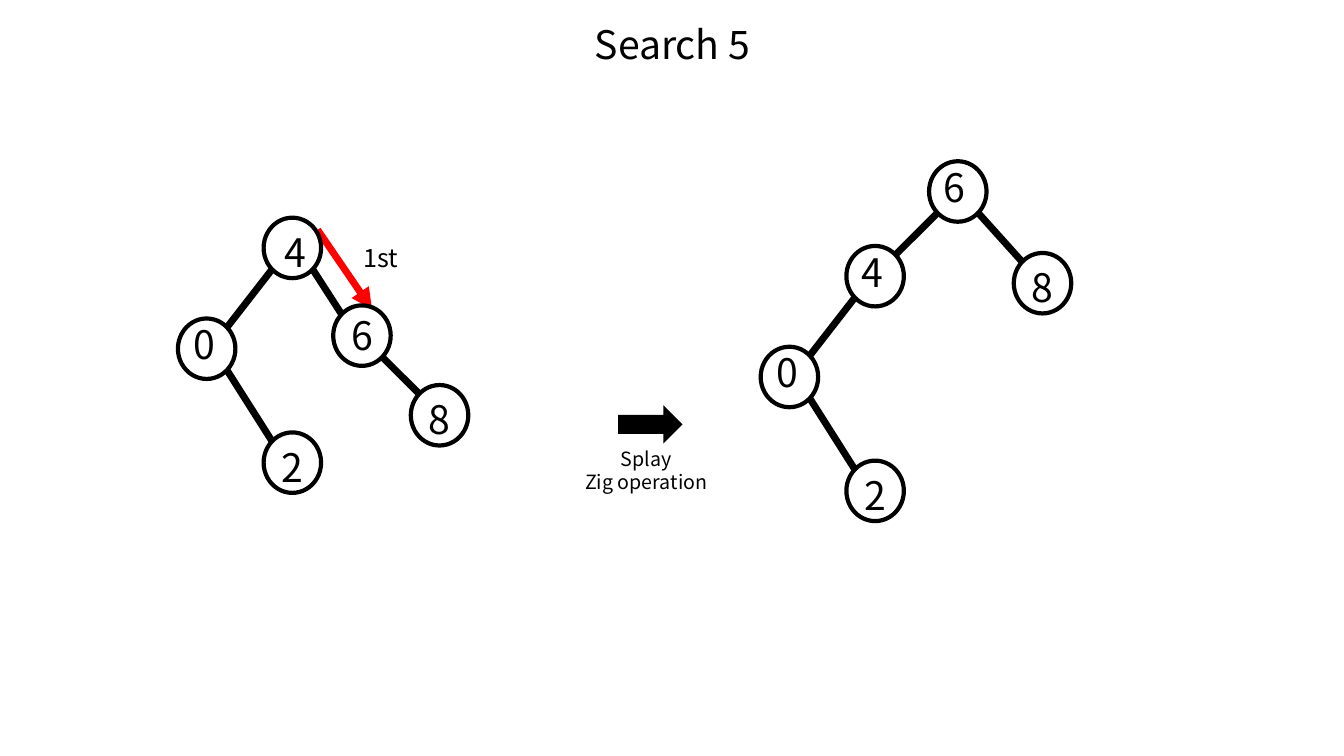
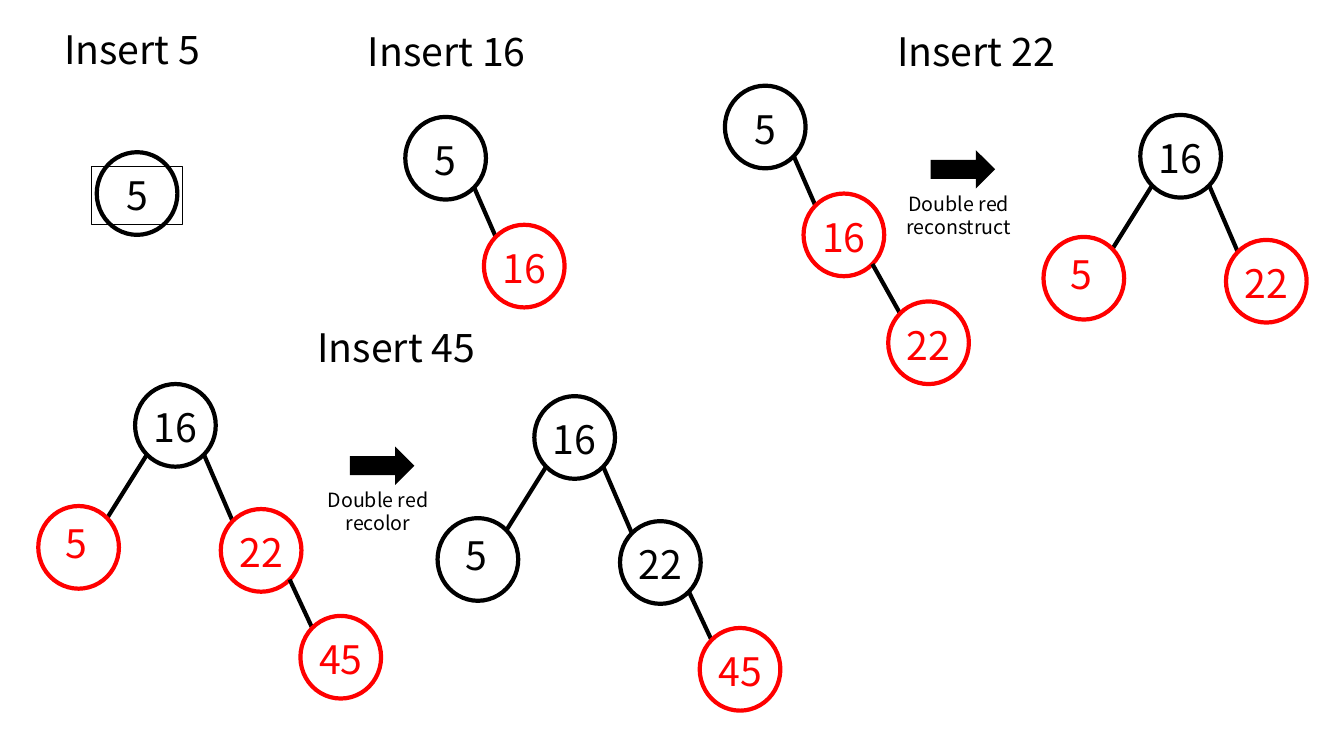
"""Builds two slides of search tree steps: a splay search and red-black insertions."""
import dataclasses
import math

import lxml.etree
import pptx
import pptx.dml.color
import pptx.enum.shapes
import pptx.enum.text
import pptx.oxml.ns
import pptx.util

Inches = pptx.util.Inches
Shapes = pptx.enum.shapes.MSO_SHAPE


@dataclasses.dataclass(frozen=True)
class Theme:
    font: str = "Noto Sans CJK KR"
    black: str = "000000"
    red: str = "FF0000"
    heading: int = 28
    order: int = 18
    caption: int = 14
    outline: float = 3
    frame: float = 0.75
    line_height: float = 0.57


THEME = Theme()
BLACK, RED = THEME.black, THEME.red

SPLAY = {"node": (0.57, 0.6), "label_width": 0.64, "edge": 5}
RED_BLACK = {"node": (0.8, 0.82), "label_width": 0.9, "edge": 3}

LOW, HIGH, LEFT_HIGH = (0, 0.04), (-0.02, -0.05), (-0.03, -0.04)
MIDDLE, LEFT_CHILD = (0, 0.02), (-0.02, -0.04)

BEFORE_ZIG = [
    ("4", None, (0, 0), BLACK, (0.03, 0.04)),
    ("0", "4", (-0.85, 1), BLACK, HIGH),
    ("6", "4", (0.69, 0.87), BLACK, (0, -0.01)),
    ("8", "6", (1.46, 1.66), BLACK, LOW),
    ("2", "0", (0, 2.13), BLACK, LOW),
]
AFTER_ZIG = [
    ("6", None, (0, 0), BLACK, LEFT_HIGH),
    ("4", "6", (-0.82, 0.84), BLACK, LEFT_HIGH),
    ("0", "4", (-1.67, 1.84), BLACK, HIGH),
    ("8", "6", (0.84, 0.91), BLACK, LOW),
    ("2", "0", (-0.82, 2.97), BLACK, LOW),
]
CHAIN = [
    ("5", None, (0, 0), BLACK, MIDDLE),
    ("16", "5", (0.78, 1.07), RED, MIDDLE),
    ("22", "16", (1.62, 2.14), RED, MIDDLE),
]


def balanced(children_colour):
    """Return the three-node tree whose two children share a colour."""
    return [
        ("16", None, (0, 0), BLACK, MIDDLE),
        ("5", "16", (-0.96, 1.21), children_colour, LEFT_CHILD),
        ("22", "16", (0.85, 1.24), children_colour, MIDDLE),
    ]


LEAF_45 = ("45", "22", (1.64, 2.3), RED, MIDDLE)

SLIDES = [
    {
        "headings": [("Search 5", 6.67, 0.15)],
        "style": SPLAY,
        "trees": [((2.9, 2.46), BEFORE_ZIG), ((9.5, 1.9), AFTER_ZIG)],
        "steps": [((6.13, 4.02), ("Splay", "Zig operation"))],
        "visits": [("1st", (3.78, 2.35), (3.15, 2.28), (3.69, 3.07))],
    },
    {
        "headings": [("Insert 5", 1.31, 0.2), ("Insert 16", 4.43, 0.22),
                     ("Insert 22", 9.68, 0.22), ("Insert 45", 3.93, 3.16)],
        "style": RED_BLACK,
        "trees": [
            ((1.36, 1.92), CHAIN[:1]),
            ((4.42, 1.57), CHAIN[:2]),
            ((7.59, 1.26), CHAIN),
            ((11.71, 1.55), balanced(RED)),
            ((1.74, 4.22), balanced(RED) + [LEAF_45]),
            ((5.7, 4.34), balanced(BLACK) + [LEAF_45]),
        ],
        "steps": [((9.23, 1.49), ("Double red", "reconstruct")),
                  ((3.47, 4.43), ("Double red", "recolor"))],
        "visits": [],
    },
]


def rgb(colour):
    return pptx.dml.color.RGBColor.from_string(colour)


def write(box, lines, size, colour=BLACK):
    frame = box.text_frame
    frame.text = "\n".join(lines)
    frame.word_wrap = True
    frame.auto_size = pptx.enum.text.MSO_AUTO_SIZE.NONE
    frame.vertical_anchor = pptx.enum.text.MSO_ANCHOR.TOP
    for paragraph in frame.paragraphs:
        paragraph.alignment = pptx.enum.text.PP_ALIGN.CENTER
        paragraph.font.name = THEME.font
        paragraph.font.size = pptx.util.Pt(size)
        paragraph.font.color.rgb = rgb(colour)


def add_text(slide, lines, center, top, width, size, colour=BLACK):
    box = slide.shapes.add_textbox(Inches(center - width / 2), Inches(top),
                                   Inches(width), Inches(THEME.line_height))
    write(box, lines, size, colour)
    return box


def add_line(slide, start, end, colour, width):
    line = slide.shapes.add_connector(pptx.enum.shapes.MSO_CONNECTOR.STRAIGHT,
                                      *map(Inches, start + end))
    line.line.color.rgb = rgb(colour)
    line.line.width = pptx.util.Pt(width)
    properties = line._element.spPr
    lxml.etree.SubElement(properties, pptx.oxml.ns.qn("a:effectLst"))
    return line


def add_headings(slide, headings):
    width = 2.78
    (first, center, top), *others = headings
    title = slide.shapes.title
    title.left, title.top = Inches(center - width / 2), Inches(top)
    title.width, title.height = Inches(width), Inches(THEME.line_height)
    write(title, [first], THEME.heading)
    for heading, center, top in others:
        add_text(slide, [heading], center, top, width, THEME.heading)


def add_tree(slide, root, nodes, style):
    width, height = style["node"]
    reach_x, reach_y = (side / 2 * math.sqrt(0.5) for side in style["node"])
    centers = {label: (root[0] + dx, root[1] + dy) for label, _, (dx, dy), _, _ in nodes}
    for label, parent, _, colour, nudge in nodes:
        x, y = centers[label]
        if parent:
            parent_x, parent_y = centers[parent]
            lean = math.copysign(reach_x, x - parent_x)
            add_line(slide, (parent_x + lean, parent_y + reach_y),
                     (x - lean, y - reach_y), BLACK, style["edge"])
        circle = slide.shapes.add_shape(Shapes.OVAL, Inches(x - width / 2),
                                        Inches(y - height / 2), Inches(width), Inches(height))
        circle.shadow.inherit = False
        circle.fill.background()
        circle.line.color.rgb = rgb(colour)
        circle.line.width = pptx.util.Pt(THEME.outline)
        number = add_text(slide, [label], x + nudge[0],
                          y + nudge[1] - THEME.line_height / 2,
                          style["label_width"], THEME.heading, colour)
        if len(nodes) == 1:
            number.line.color.rgb = rgb(colour)
            number.line.width = pptx.util.Pt(THEME.frame)


def add_step(slide, corner, caption):
    left, top = corner
    arrow = slide.shapes.add_shape(Shapes.RIGHT_ARROW, Inches(left), Inches(top),
                                   Inches(0.64), Inches(0.38))
    arrow.shadow.inherit = False
    arrow.fill.solid()
    arrow.fill.fore_color.rgb = rgb(BLACK)
    arrow.line.fill.background()
    add_text(slide, caption, left + 0.28, top + 0.36, 2.25, THEME.caption)


def add_visit(slide, order, place, start, end):
    pointer = add_line(slide, start, end, RED, SPLAY["edge"])
    lxml.etree.SubElement(pointer.line._get_or_add_ln(), pptx.oxml.ns.qn("a:tailEnd"),
                          type="triangle")
    add_text(slide, [order], *place, 0.99, THEME.order)


def main():
    deck = pptx.Presentation()
    deck.slide_width, deck.slide_height = Inches(13.33), Inches(7.5)
    for content in SLIDES:
        slide = deck.slides.add_slide(deck.slide_layouts[5])
        add_headings(slide, content["headings"])
        for step in content["steps"]:
            add_step(slide, *step)
        for visit in content["visits"]:
            add_visit(slide, *visit)
        for root, nodes in content["trees"]:
            add_tree(slide, root, nodes, content["style"])
    deck.save("out.pptx")


if __name__ == "__main__":
    main()
